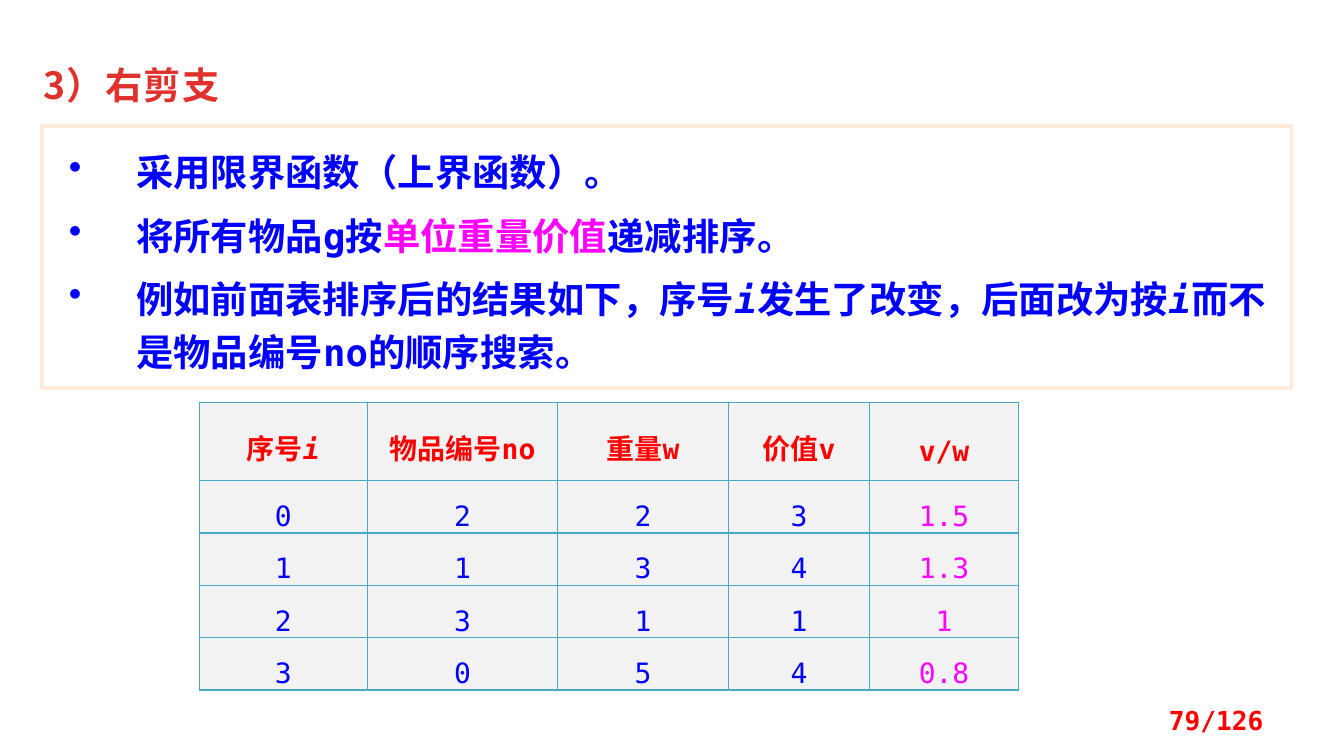
from lxml.etree import SubElement as Sub
from pptx import Presentation
from pptx.dml.color import RGBColor as RGB
from pptx.enum.shapes import MSO_SHAPE as Geo
from pptx.enum.text import MSO_ANCHOR as Anchor, PP_ALIGN as Align
from pptx.oxml.ns import qn
from pptx.util import Pt

MONO, SANS = "DejaVu Sans Mono", "Noto Sans CJK SC"
RED, BLUE, PINK = "FF0000", "0000FF", "FF00FF"
SLANT = {"italic": True}


def paint(fmt, hue):
    """Give a fill a solid colour."""
    fmt.solid()
    fmt.fore_color.rgb = RGB.from_string(hue)


def apply(item, vals):
    for key, val in vals.items():
        setattr(item, key, val)


class Deck:
    cell = {"margin_left": Pt(5), "margin_right": Pt(5),
            "margin_top": 0, "margin_bottom": 0}
    line = {"alignment": Align.CENTER, "line_spacing": Pt(28)}
    grid, back = "46AAC5", "F2F2F2"

    def __init__(self, wide, high):
        self.prs = Presentation()
        apply(self.prs, {"slide_width": Pt(wide), "slide_height": Pt(high)})
        self.slide = self.prs.slides.add_slide(self.prs.slide_layouts[6])

    def text(self, para, runs, hue, font=MONO, **vals):
        """Add (text, changes) runs that share one base format."""
        for words, diff in runs:
            run = para.add_run()
            run.text = words
            look = {"name": font, "bold": True, **vals, **diff}
            paint(run.font.fill, look.pop("hue", hue))
            apply(run.font, look)
            east = Sub(run.font._element, qn("a:ea"))
            east.set("typeface", SANS)

    def label(self, box, words, hue, align=Align.LEFT, gap=0, **vals):
        frame = self.slide.shapes.add_textbox(*map(Pt, box)).text_frame
        frame.vertical_anchor = Anchor.MIDDLE
        frame.word_wrap = True
        para = frame.paragraphs[0]
        para.alignment = align
        self.text(para, [(words, {})], hue, **vals)
        para.runs[0].font._element.set("spc", str(gap))

    def panel(self, box, items, edge):
        shape = self.slide.shapes.add_shape(Geo.RECTANGLE, *map(Pt, box))
        shape.shadow.inherit = False
        paint(shape.fill, "FFFFFF")
        paint(shape.line.fill, edge)
        shape.line.width = Pt(2)
        frame = shape.text_frame
        apply(frame, {"word_wrap": True, "vertical_anchor": Anchor.TOP,
                      "margin_left": Pt(14.4), "margin_right": Pt(7.2),
                      "margin_top": Pt(8.6), "margin_bottom": Pt(8.6)})
        for num, runs in enumerate(items):
            para = frame.add_paragraph() if num else frame.paragraphs[0]
            apply(para, {"alignment": Align.LEFT, "line_spacing": Pt(28)})
            if num:
                para.space_before = Pt(6)
            props = para._p.get_or_add_pPr()
            props.set("marL", str(Pt(36)))
            props.set("indent", str(-Pt(36)))
            Sub(props, qn("a:buChar")).set("char", "•")
            self.text(para, runs, BLUE, size=Pt(20))

    def border(self, cell):
        props = cell._tc.get_or_add_tcPr()
        for num, side in enumerate(("lnL", "lnR", "lnT", "lnB")):
            edge = props.makeelement(qn("a:" + side), {"w": str(Pt(0.75))})
            props.insert(num, edge)
            fill = Sub(edge, qn("a:solidFill"))
            Sub(fill, qn("a:srgbClr")).set("val", self.grid)

    def table(self, spot, cols, rows, heads, data):
        lines = [heads] + [[[(val, {})] for val in row] for row in data]
        table = self.slide.shapes.add_table(
            len(rows), len(cols), *map(Pt, (*spot, sum(cols), sum(rows)))).table
        for col, wide in zip(table.columns, cols):
            col.width = Pt(wide)
        for num, (row, high, line) in enumerate(zip(table.rows, rows, lines)):
            row.height = Pt(high)
            for pos, (cell, runs) in enumerate(zip(row.cells, line)):
                last = pos == len(cols) - 1
                hue = (PINK if last else BLUE) if num else RED
                apply(cell, self.cell)
                cell.vertical_anchor = Anchor.TOP if num else Anchor.MIDDLE
                paint(cell.fill, self.back)
                self.border(cell)
                para = cell.text_frame.paragraphs[0]
                apply(para, self.line)
                self.text(para, runs, hue, size=Pt(15), bold=not num)


deck = Deck(720, 405)

# Title
deck.label((16.5, 29.5, 124, 31.5), "3）右剪支", "E0322D",
           gap=50, font=SANS, size=Pt(20))

# Bullet panel
deck.panel((22.5, 67.5, 669.5, 140.5), [
    [("采用限界函数（上界函数）。", {})],
    [("将所有物品g按", {}), ("单位重量价值", {"hue": PINK}),
     ("递减排序。", {})],
    [("例如前面表排序后的结果如下，序号", {}), ("i", SLANT),
     ("发生了改变，后面改为按", {}), ("i", SLANT),
     ("而不是物品编号no的顺序搜索。", {})],
], "FDEADA")

# Sorted items
heads = [[("序号", {}), ("i", SLANT)], [("物品编号no", {})],
         [("重量w", {})], [("价值v", {})], [("v/w", {})]]
data = [("0", "2", "2", "3", "1.5"),
        ("1", "1", "3", "4", "1.3"),
        ("2", "3", "1", "1", "1"),
        ("3", "0", "5", "4", "0.8")]
deck.table((106.8, 215.5), (90, 102, 91.5, 75.5, 80),
           (42, 28, 28, 28, 28), heads, data)

# Page number
deck.label((516, 375, 168, 21.5), "79/126", RED,
           align=Align.RIGHT, size=Pt(14))

deck.prs.save("out.pptx")
